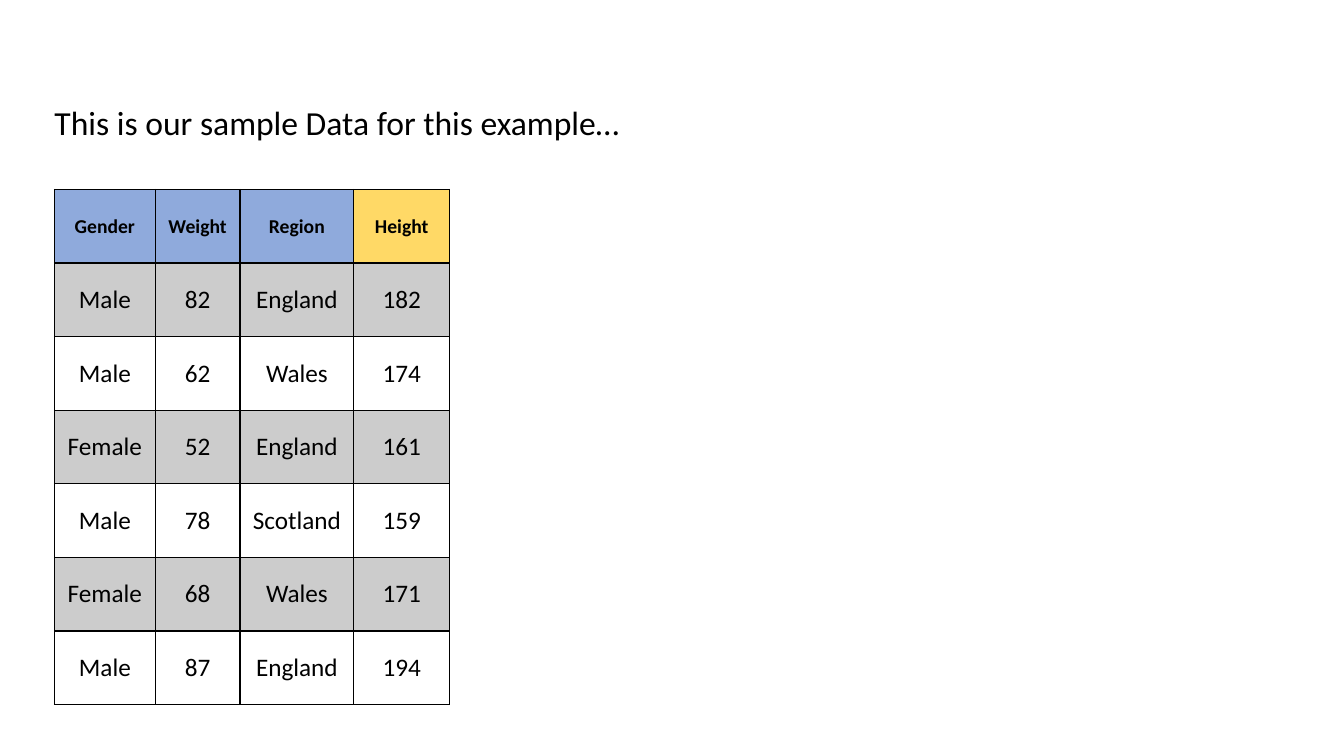
from dataclasses import dataclass

from lxml import etree
from pptx import Presentation
from pptx.dml.color import RGBColor
from pptx.enum.text import MSO_ANCHOR, MSO_AUTO_SIZE, PP_ALIGN
from pptx.oxml.ns import qn
from pptx.util import Inches, Pt

CENTER, LEFT = PP_ALIGN.CENTER, PP_ALIGN.LEFT
TOP, MIDDLE = MSO_ANCHOR.TOP, MSO_ANCHOR.MIDDLE
NO_AUTOFIT = MSO_AUTO_SIZE.NONE
TITLE_ONLY = 5


@dataclass(frozen=True)
class Theme:
    font: str = "Calibri"
    ink: str = "000000"
    feature: str = "8FAADC"
    target: str = "FFD966"
    band_opacity: int = 20
    title_size: float = 24
    header_size: float = 14
    body_size: float = 18
    line: float = 1
    header_line: float = 2.25


THEME = Theme()
LEFT_EDGE = Inches(0.54)
TABLE_TOP = Inches(1.88)
ROW_HEIGHT = Inches(0.73)
COLUMN_WIDTHS = [Inches(width) for width in (1, 0.84, 1.13, 0.95)]
HEADERS = ["Gender", "Weight", "Region", "Height"]
SAMPLES = [
    ["Male", "82", "England", "182"],
    ["Male", "62", "Wales", "174"],
    ["Female", "52", "England", "161"],
    ["Male", "78", "Scotland", "159"],
    ["Female", "68", "Wales", "171"],
    ["Male", "87", "England", "194"],
]


def add_text(paragraph, text, size, alignment, bold=False):
    paragraph.alignment = alignment
    run = paragraph.add_run()
    run.text = text
    run.font.name = THEME.font
    run.font.size = Pt(size)
    run.font.bold = bold
    run.font.color.rgb = RGBColor.from_string(THEME.ink)


def add_title(slide, text):
    title = slide.shapes.title
    title.left, title.top = LEFT_EDGE, Inches(0.99)
    title.width, title.height = Inches(5.62), Inches(0.43)
    frame = title.text_frame
    frame.margin_left = frame.margin_right = frame.margin_bottom = 0
    frame.margin_top = Inches(0.02)
    frame.vertical_anchor = TOP
    frame.word_wrap = True
    frame.auto_size = NO_AUTOFIT
    add_text(frame.paragraphs[0], text, THEME.title_size, LEFT)


def set_border(cell, side, width):
    properties = cell._tc.get_or_add_tcPr()
    line = etree.SubElement(properties, qn(f"a:ln{side}"), w=str(Pt(width)))
    fill = etree.SubElement(line, qn("a:solidFill"))
    etree.SubElement(fill, qn("a:srgbClr"), val=THEME.ink)


def fill_cell(cell, color, opacity=100):
    cell.fill.solid()
    cell.fill.fore_color.rgb = RGBColor.from_string(color)
    if opacity < 100:
        color_element = cell._tc.tcPr.find(f".//{qn('a:solidFill')}[last()]")
        color_element = cell._tc.tcPr.find(f"{qn('a:solidFill')}/{qn('a:srgbClr')}")
        etree.SubElement(color_element, qn("a:alpha"), val=str(opacity * 1000))


def style_cell(cell, row, column):
    cell.margin_left = cell.margin_right = cell.margin_top = cell.margin_bottom = 0
    cell.vertical_anchor = MIDDLE
    for side in "LRTB":
        below_header = (row, side) in ((0, "B"), (1, "T"))
        set_border(cell, side, THEME.header_line if below_header else THEME.line)
    if row == 0:
        is_target = column == len(HEADERS) - 1
        fill_cell(cell, THEME.target if is_target else THEME.feature)
    elif row % 2:
        fill_cell(cell, THEME.ink, THEME.band_opacity)
    else:
        cell.fill.background()


def add_sample_table(slide):
    records = [HEADERS, *SAMPLES]
    table = slide.shapes.add_table(
        len(records), len(HEADERS), LEFT_EDGE, TABLE_TOP,
        sum(COLUMN_WIDTHS), ROW_HEIGHT * len(records),
    ).table
    table.first_row = table.horz_banding = False
    for column, width in zip(table.columns, COLUMN_WIDTHS):
        column.width = width
    for row, record in enumerate(records):
        table.rows[row].height = ROW_HEIGHT
        size = THEME.body_size if row else THEME.header_size
        for column, text in enumerate(record):
            cell = table.cell(row, column)
            style_cell(cell, row, column)
            add_text(cell.text_frame.paragraphs[0], text, size, CENTER, row == 0)


def main():
    presentation = Presentation()
    presentation.slide_width = Inches(13.33)
    presentation.slide_height = Inches(7.5)
    slide = presentation.slides.add_slide(presentation.slide_layouts[TITLE_ONLY])
    add_sample_table(slide)
    add_title(slide, "This is our sample Data for this example…")
    presentation.save("out.pptx")


if __name__ == "__main__":
    main()
